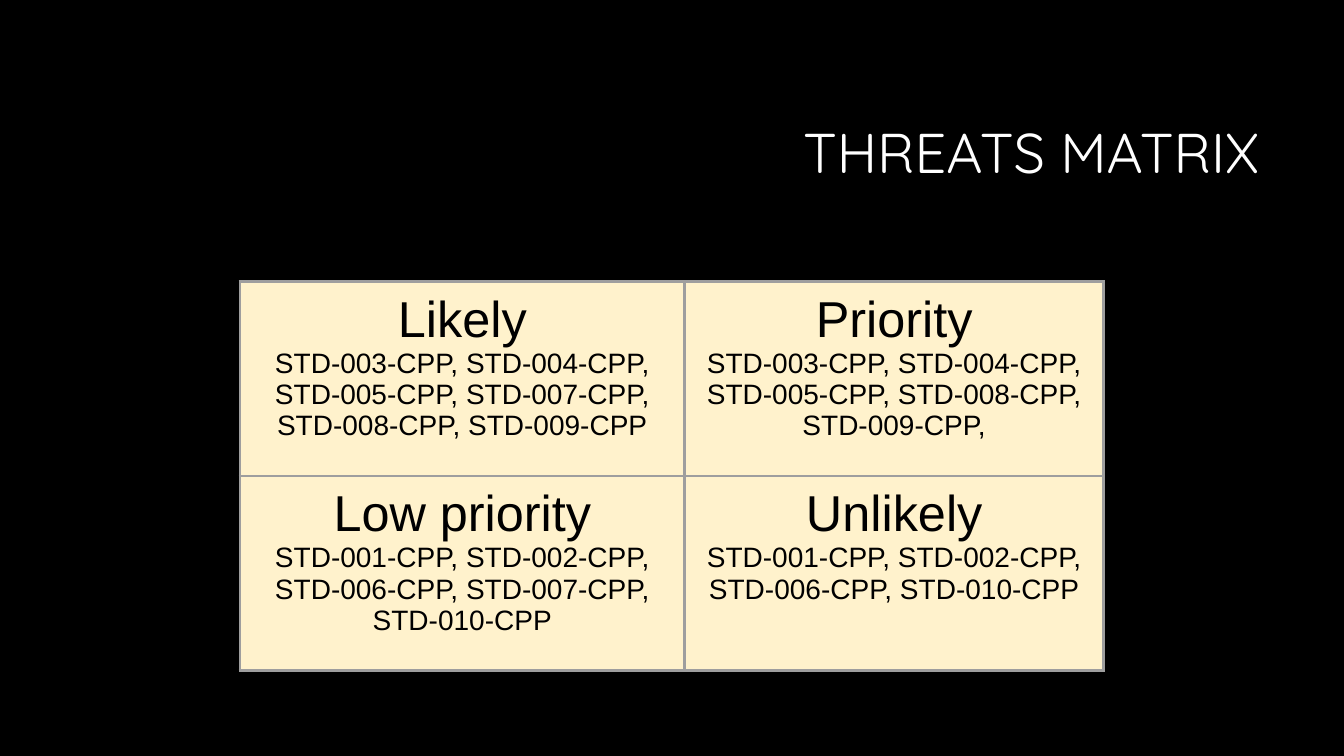
"""Build the threats matrix slide."""
import pptx
import pptx.util
import pptx.dml.color
import pptx.enum.text
import pptx.oxml
import pptx.oxml.ns

Pt = pptx.util.Pt
ALIGN = pptx.enum.text.PP_ALIGN
ANCHOR = pptx.enum.text.MSO_ANCHOR
COLORS = {"back": "000000", "title": "FFFFFF", "text": "000000",
          "cell": "FFF2CC", "edge": "9E9E9E"}
COLS = [317.5, 299.5]
ROWS = [139, 139]
MATRIX = [
    [["Likely", "STD-003-CPP, STD-004-CPP, STD-005-CPP, STD-007-CPP, "
      "STD-008-CPP, STD-009-CPP"],
     ["Priority", "STD-003-CPP, STD-004-CPP,",
      "STD-005-CPP, STD-008-CPP, STD-009-CPP,"]],
    [["Low priority", "STD-001-CPP, STD-002-CPP,",
      "STD-006-CPP, STD-007-CPP,", "STD-010-CPP"],
     ["Unlikely", "STD-001-CPP, STD-002-CPP, STD-006-CPP, STD-010-CPP"]],
]


def color(name):
    """Return the named colour."""
    return pptx.dml.color.RGBColor.from_string(COLORS[name])


def style(para, face, size, tint, align):
    """Format a paragraph and its runs."""
    para.alignment = align
    for run in para.runs:
        run.font.name = face
        run.font.size = Pt(size)
        run.font.color.rgb = color(tint)


def add_title(slide, text):
    """Add the title at the upper right."""
    box = slide.shapes.add_textbox(Pt(228), Pt(60.5), Pt(678.5), Pt(101.5))
    frame = box.text_frame
    frame.word_wrap = True
    frame.vertical_anchor = ANCHOR.MIDDLE
    frame.text = text
    para = frame.paragraphs[0]
    para.line_spacing = 0.9
    style(para, "Quicksand", 40, "title", ALIGN.RIGHT)


def add_edges(cell):
    """Draw the four borders of a cell."""
    props = cell._tc.get_or_add_tcPr()
    for place, side in enumerate(("lnL", "lnR", "lnT", "lnB")):
        line = pptx.oxml.parse_xml(
            f'<a:{side} {pptx.oxml.ns.nsdecls("a")} w="{Pt(2.25)}">'
            f'<a:solidFill><a:srgbClr val="{COLORS["edge"]}"/></a:solidFill>'
            f'</a:{side}>')
        props.insert(place, line)


def fill_cell(cell, lines):
    """Write a heading and its codes into a cell."""
    cell.fill.solid()
    cell.fill.fore_color.rgb = color("cell")
    cell.margin_left = cell.margin_right = Pt(7.2)
    cell.margin_top = cell.margin_bottom = Pt(7.2)
    cell.text_frame.text = "\n".join(lines)
    for place, para in enumerate(cell.text_frame.paragraphs):
        style(para, "Arial", 20 if place else 36, "text", ALIGN.CENTER)
    add_edges(cell)


def add_matrix(slide):
    """Add the two by two table of threats."""
    frame = slide.shapes.add_table(len(ROWS), len(COLS), Pt(171.5), Pt(201),
                                   Pt(sum(COLS)), Pt(sum(ROWS)))
    table = frame.table
    table.first_row = table.horz_banding = False
    for col, width in zip(table.columns, COLS):
        col.width = Pt(width)
    for row, height, cells in zip(table.rows, ROWS, MATRIX):
        row.height = Pt(height)
        for cell, lines in zip(row.cells, cells):
            fill_cell(cell, lines)


def main():
    """Build and save the slide."""
    deck = pptx.Presentation()
    deck.slide_width, deck.slide_height = Pt(960), Pt(540)
    slide = deck.slides.add_slide(deck.slide_layouts[6])
    slide.background.fill.solid()
    slide.background.fill.fore_color.rgb = color("back")
    add_title(slide, "THREATS MATRIX")
    add_matrix(slide)
    deck.save("out.pptx")


if __name__ == "__main__":
    main()
